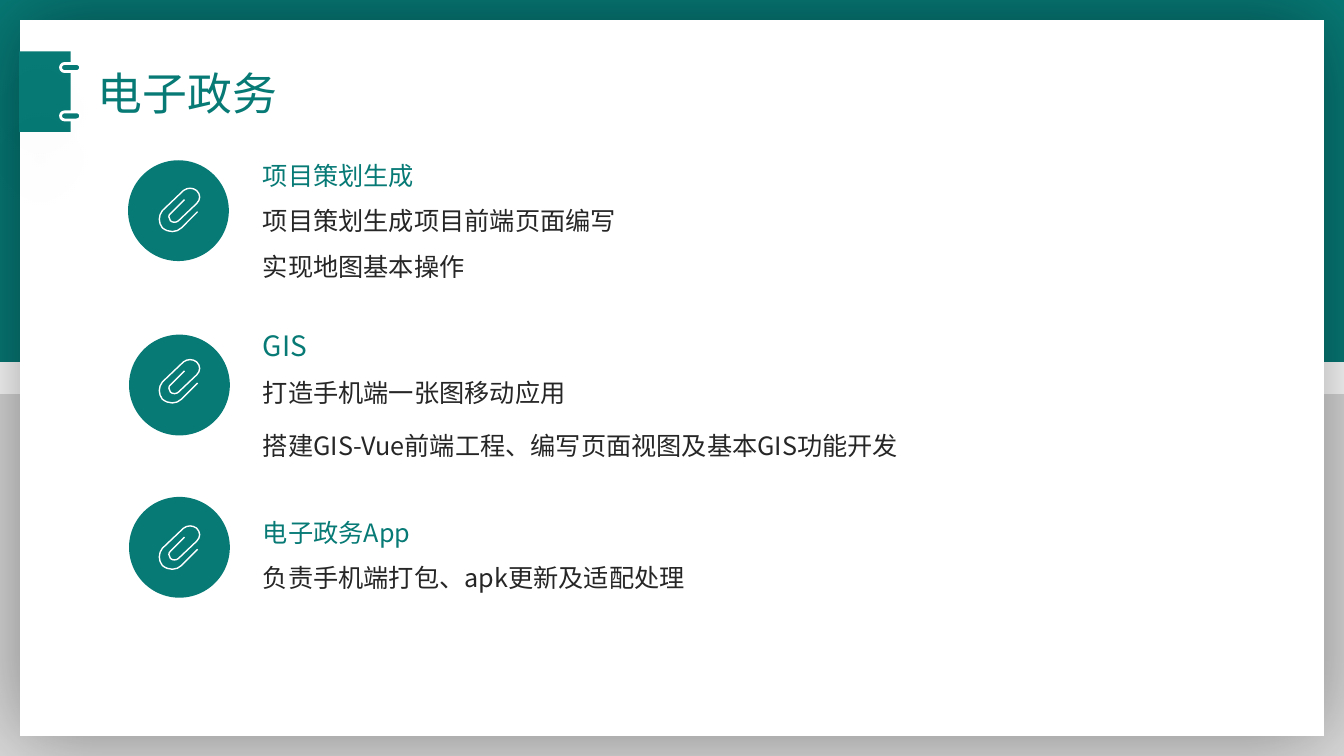
from itertools import chain

from lxml import etree
from pptx import Presentation
from pptx.dml.color import RGBColor
from pptx.enum.shapes import MSO_SHAPE as Preset
from pptx.enum.text import MSO_AUTO_SIZE as AutoSize
from pptx.oxml.ns import qn
from pptx.util import Inches, Pt

# Content
TEAL = RGBColor(0x07, 0x7A, 0x76)
GREY = RGBColor(0xDA, 0xDA, 0xDA)
WHITE = RGBColor(0xFF, 0xFF, 0xFF)
INK = RGBColor(0x26, 0x26, 0x26)
FONT = "Noto Sans CJK SC"
TITLE = "电子政务"

# Each section: circle (left, top), clip top, text (top, width, height),
# heading size, space before the last line, lines with the heading first
SECTIONS = [
    ((1.27, 1.59), 1.86, (1.39, 9.44, 1.41), 18, 0,
     ["项目策划生成", "项目策划生成项目前端页面编写", "实现地图基本操作"]),
    ((1.28, 3.32), 3.56, (3.04, 9.14, 1.55), 20, 6,
     ["GIS", "打造手机端一张图移动应用",
      "搭建GIS-Vue前端工程、编写页面视图及基本GIS功能开发"]),
    ((1.28, 4.93), 5.21, (4.93, 9.14, 0.96), 18, 0,
     ["电子政务App", "负责手机端打包、apk更新及适配处理"]),
]
CIRCLE = 1
CLIP_LEFT = 1.57
TEXT_LEFT = 2.51
RING_TOPS = (0.57, 1.05)

# Paper clip outline: start point, then Bezier curves, from its top left corner
CLIP_START = (0.39, 0.24)
CLIP_CURVES = [
    ((0.23, 0.4), (0.23, 0.4), (0.23, 0.4)),
    ((0.18, 0.45), (0.1, 0.45), (0.04, 0.4)),
    ((0, 0.35), (0, 0.28), (0.04, 0.23)),
    ((0.25, 0.03), (0.25, 0.03), (0.25, 0.03)),
    ((0.29, 0), (0.34, 0), (0.38, 0.03)),
    ((0.42, 0.07), (0.42, 0.12), (0.38, 0.16)),
    ((0.2, 0.33), (0.2, 0.33), (0.2, 0.33)),
    ((0.18, 0.35), (0.14, 0.35), (0.12, 0.33)),
    ((0.1, 0.31), (0.1, 0.27), (0.12, 0.26)),
    ((0.26, 0.12), (0.26, 0.12), (0.26, 0.12)),
]

deck = Presentation()
deck.slide_width, deck.slide_height = Inches(13.33), Inches(7.5)
page = deck.slides.add_slide(deck.slide_layouts[6])


def add_block(preset, left, top, width, height, fill):
    shape = page.shapes.add_shape(
        preset, Inches(left), Inches(top), Inches(width), Inches(height))
    shape.shadow.inherit = False
    shape.fill.solid()
    shape.fill.fore_color.rgb = fill
    shape.line.fill.background()
    return shape


def add_shadow(shape, opacity, blur, distance, angle):
    effects = shape._element.spPr.find(qn("a:effectLst"))
    shadow = etree.SubElement(
        effects, qn("a:outerShdw"), blurRad=str(Pt(blur)),
        dist=str(Pt(distance)), dir=str(angle * 60000),
        algn="ctr", rotWithShape="0")
    color = etree.SubElement(shadow, qn("a:srgbClr"), val="000000")
    etree.SubElement(color, qn("a:alpha"), val=str(opacity * 1000))


def add_text(left, top, width, height, lines, spacing=None):
    """Lines are (text, size, color, space before)."""
    box = page.shapes.add_textbox(
        Inches(left), Inches(top), Inches(width), Inches(height))
    frame = box.text_frame
    frame.word_wrap = True
    frame.auto_size = AutoSize.SHAPE_TO_FIT_TEXT
    frame.text = "\n".join(line[0] for line in lines)
    for para, (_, size, color, before) in zip(frame.paragraphs, lines):
        para.line_spacing = spacing
        if before:
            para.space_before = Pt(before)
        span = para.runs[0]
        span.font.size = Pt(size)
        span.font.name = FONT
        span.font.color.rgb = color
        etree.SubElement(span.font._element, qn("a:ea"), typeface=FONT)


def add_clip(left, top):
    def place(point):
        return Inches(left + point[0]), Inches(top + point[1])

    builder = page.shapes.build_freeform(*place(CLIP_START))
    builder.add_line_segments(
        [place(point) for point in chain(*CLIP_CURVES)], close=False)
    clip = builder.convert_to_shape()
    # Join every three points into one Bezier curve
    outline = next(clip._element.iter(qn("a:path")))
    segments = outline.findall(qn("a:lnTo"))
    for index in range(0, len(segments), 3):
        curve = etree.SubElement(outline, qn("a:cubicBezTo"))
        for segment in segments[index:index + 3]:
            curve.append(segment[0])
            outline.remove(segment)
    clip.shadow.inherit = False
    clip.fill.background()
    clip.line.color.rgb = WHITE
    clip.line.width = Pt(1)


# Backdrop and sheet
add_block(Preset.RECTANGLE, 0, 0, 13.33, 3.59, TEAL)
add_block(Preset.RECTANGLE, 0, 3.91, 13.33, 3.59, GREY)
sheet = add_block(Preset.RECTANGLE, 0.2, 0.2, 12.93, 7.1, WHITE)
add_shadow(sheet, opacity=40, blur=63, distance=0, angle=0)

# Title with its tab and binder rings
add_block(Preset.RECTANGLE, 0.19, 0.51, 0.51, 0.8, TEAL)
add_text(0.87, 0.6, 2.97, 0.64, [(TITLE, 32, TEAL, 0)])
for ring_top in RING_TOPS:
    ring = add_block(Preset.ROUNDED_RECTANGLE, 0.66, ring_top, 0.08, 0.2, TEAL)
    ring.adjustments[0] = 0.5
    ring.rotation = 90
    ring.line.color.rgb = WHITE
    ring.line.width = Pt(2)
    add_shadow(ring, opacity=13, blur=45, distance=38, angle=125)

# Sections
for circle_at, clip_top, (top, width, height), size, gap, lines in SECTIONS:
    add_block(Preset.OVAL, *circle_at, CIRCLE, CIRCLE, TEAL)
    add_clip(CLIP_LEFT, clip_top)
    heading, *body = lines
    styled = [(heading, size, TEAL, 0)]
    styled += [(line, 18, INK, gap if line == body[-1] else 0) for line in body]
    add_text(TEXT_LEFT, top, width, height, styled, spacing=1.5)

deck.save("out.pptx")
